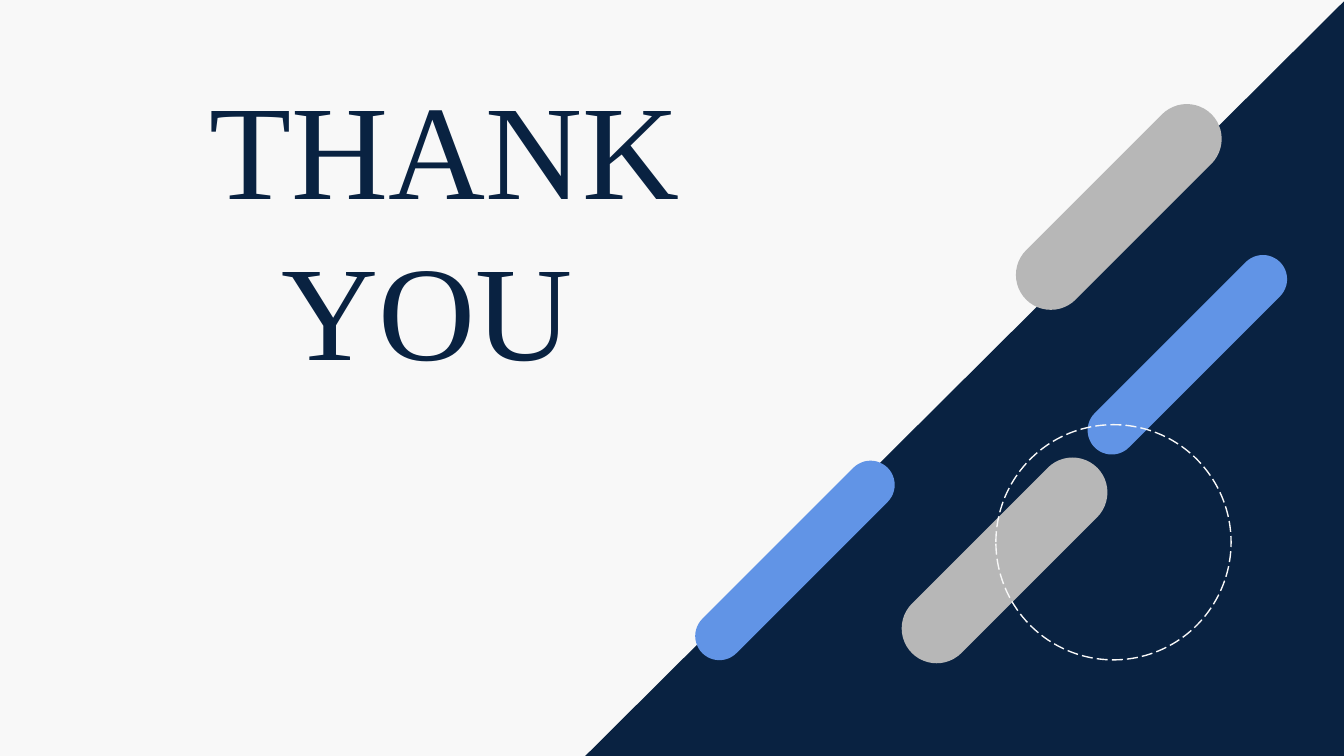
from pptx import Presentation
from pptx.dml.color import RGBColor
from pptx.enum import dml, shapes, text
from pptx.util import Inches, Pt

NAVY, BLUE, GREY, PALE = "092241", "6194E6", "B7B7B7", "F8F8F8"


def rgb(value):
    return RGBColor.from_string(value)


def add_plain_shape(slide, kind, box, fill=None):
    shape = slide.shapes.add_shape(kind, *map(Inches, box))
    shape.shadow.inherit = False
    shape.line.fill.background()
    if fill:
        shape.fill.solid()
        shape.fill.fore_color.rgb = rgb(fill)
    else:
        shape.fill.background()
    return shape


def add_title(slide, box):
    title = slide.shapes.add_textbox(*map(Inches, box))
    frame = title.text_frame
    frame.word_wrap = True
    frame.auto_size = text.MSO_AUTO_SIZE.NONE
    frame.vertical_anchor = text.MSO_ANCHOR.MIDDLE
    frame.margin_left = frame.margin_right = Inches(0.1)
    frame.margin_top = frame.margin_bottom = Inches(0.1)
    paragraph = frame.paragraphs[0]
    paragraph.alignment = text.PP_ALIGN.CENTER
    paragraph.line_spacing = Pt(86)
    thanks = paragraph.add_run()
    thanks.text = "THANK YOU "
    thanks.font.name = "Times New Roman"
    thanks.font.size = Pt(72)
    thanks.font.color.rgb = rgb(NAVY)


def add_corner_art(slide, box):
    left, top, width, height = box

    # Navy corner, mirrored so the right angle sits at bottom right
    corner = add_plain_shape(slide, shapes.MSO_SHAPE.RIGHT_TRIANGLE, box, NAVY)
    corner._element.spPr.xfrm.set("flipH", "1")

    # Diagonal pills: offset from the box, thickness, colour
    pills = [
        (0.59, 3.98, 0.36, BLUE),
        (3.51, 2.45, 0.36, BLUE),
        (3.00, 1.27, 0.52, GREY),
        (2.15, 3.90, 0.52, GREY),
    ]
    for dx, dy, thickness, color in pills:
        pill = add_plain_shape(slide, shapes.MSO_SHAPE.ROUNDED_RECTANGLE,
                               (left + dx, top + dy, 1.95, thickness), color)
        pill.adjustments[0] = 0.5
        pill.rotation = 315

    # Dashed ring
    ring = add_plain_shape(slide, shapes.MSO_SHAPE.OVAL,
                           (left + 3.06, top + 3.15, 1.75, 1.75))
    ring.line.color.rgb = rgb(PALE)
    ring.line.width = Pt(0.75)
    ring.line.dash_style = dml.MSO_LINE.LONG_DASH


def main():
    deck = Presentation()
    deck.slide_width = Inches(10)
    deck.slide_height = deck.slide_width * 9 // 16
    slide = deck.slides.add_slide(deck.slide_layouts[6])
    slide.background.fill.solid()
    slide.background.fill.fore_color.rgb = rgb(PALE)
    add_title(slide, (0.78, 0.59, 5.05, 2.19))
    add_corner_art(slide, (4.35, 0.01, 5.65, 5.62))
    deck.save("out.pptx")


if __name__ == "__main__":
    main()
